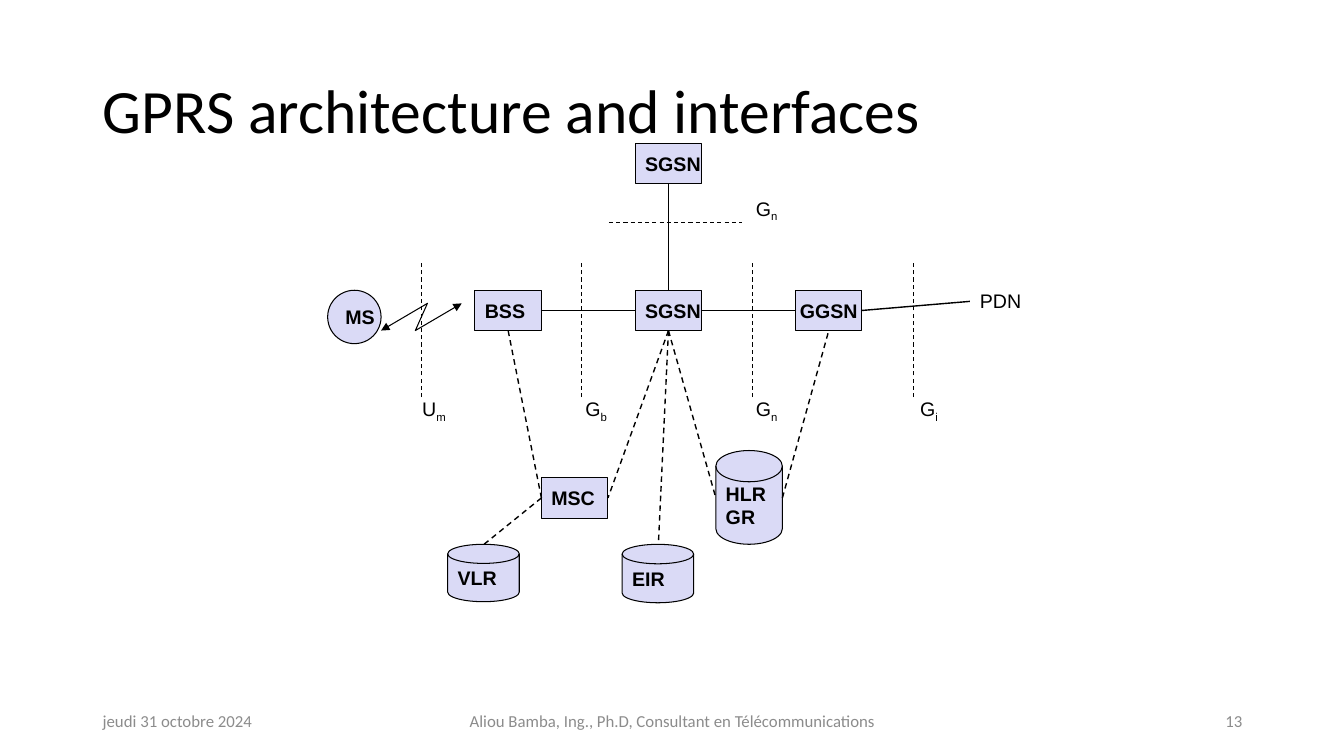
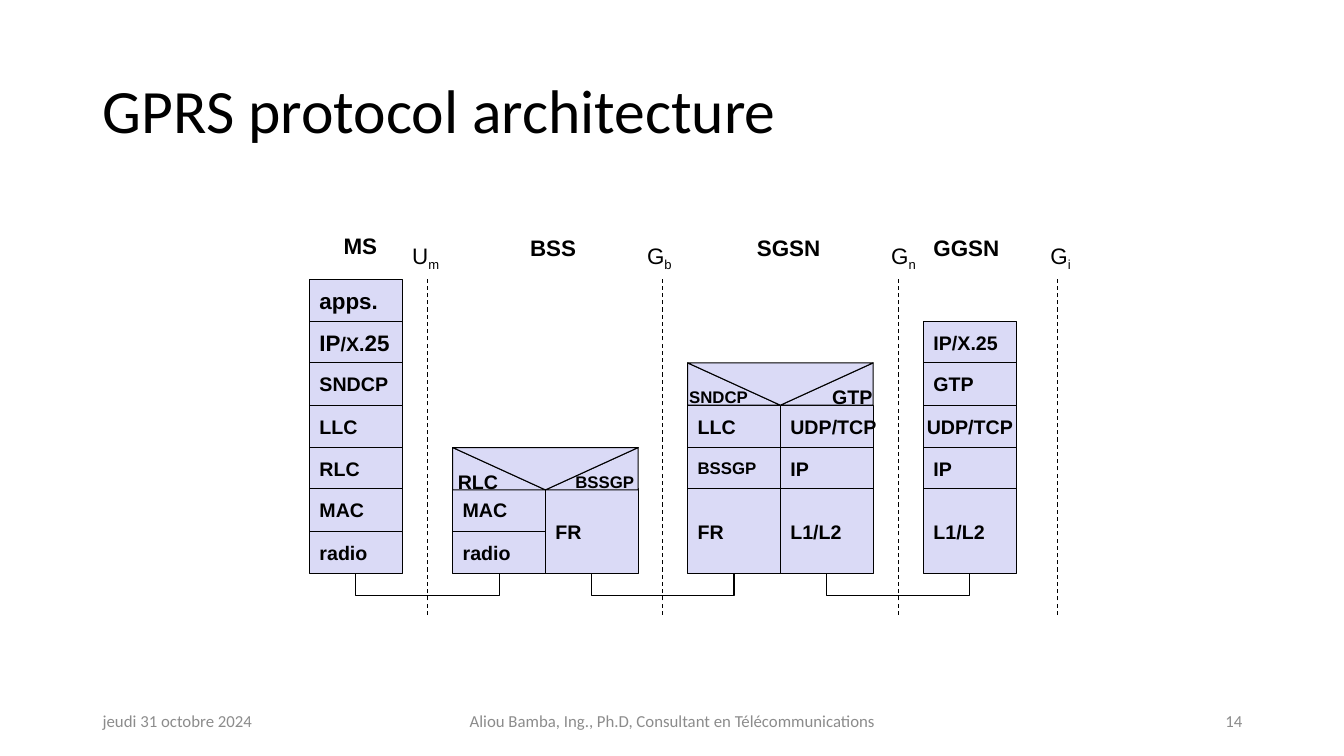
from lxml.etree import SubElement
from pptx import Presentation
from pptx.dml.color import RGBColor
from pptx.enum.dml import MSO_LINE
from pptx.enum.shapes import MSO_CONNECTOR, MSO_SHAPE
from pptx.enum.text import MSO_ANCHOR, MSO_AUTO_SIZE, PP_ALIGN
from pptx.oxml.ns import qn
from pptx.util import Pt

PX = 9144
BLACK = RGBColor(0x00, 0x00, 0x00)
LILAC = RGBColor(0xDA, 0xDA, 0xF6)
GREY = RGBColor(0x8C, 0x8C, 0x8C)
TOP, LEFT, BOTTOM, RIGHT = range(4)
DISK = MSO_SHAPE.FLOWCHART_MAGNETIC_DISK
DATE = "jeudi 31 octobre 2024"
AUTHOR = "Aliou Bamba, Ing., Ph.D, Consultant en Télécommunications"


def assign(target, values):
    """Set each named attribute of the target."""
    for name, value in values.items():
        setattr(target, name, value)


def px(*lengths):
    """Turn px into EMU."""
    return [length * PX for length in lengths]


class Deck:
    """Holds the presentation, its style and the current slide."""

    def __init__(self):
        """Start an empty widescreen presentation."""
        self.file = Presentation()
        assign(self.file, dict(zip(("slide_width", "slide_height"), px(1333, 750))))

    def new_slide(self, title, number):
        """Add a slide with its title and footer."""
        slide = self.file.slides.add_slide(self.file.slide_layouts[5])
        self.shapes = slide.shapes
        heading = self.shapes.title
        assign(heading, dict(zip(("left", "top", "width", "height"), px(92, 40, 1150, 145))))
        assign(heading.text_frame, {"vertical_anchor": MSO_ANCHOR.MIDDLE, "word_wrap": True,
                                    "auto_size": MSO_AUTO_SIZE.NONE})
        self.fill_text(heading.text_frame, title, size=44, font="Calibri")
        heading.text_frame.paragraphs[0].line_spacing = 0.9
        for left, width, text, align in (
            (92, 300, DATE, PP_ALIGN.LEFT),
            (442, 450, AUTHOR, PP_ALIGN.CENTER),
            (942, 300, str(number), PP_ALIGN.RIGHT),
        ):
            frame = self.shapes.add_textbox(*px(left, 695, width, 40)).text_frame
            assign(frame, {"vertical_anchor": MSO_ANCHOR.MIDDLE, "word_wrap": True})
            self.fill_text(frame, text, align, size=12, font="Calibri", color=GREY)

    def fill_text(self, frame, content, align=PP_ALIGN.LEFT, size=14, bold=False,
                  font="Arial", color=BLACK):
        """Fill a frame with lines of text, or a list of (text, size) runs."""
        if isinstance(content, str):
            lines = [[(line, size)] for line in content.split("\n")]
        else:
            lines = [content]
        for index, pieces in enumerate(lines):
            paragraph = frame.add_paragraph() if index else frame.paragraphs[0]
            paragraph.alignment = align
            for text, points in pieces:
                run = paragraph.add_run()
                run.text = text
                assign(run.font, {"size": Pt(points), "bold": bold, "name": font})
                run.font.color.rgb = color

    def outline(self, item, width=0.75, dash=None):
        """Give a shape or connector its black line."""
        item.line.color.rgb = BLACK
        assign(item.line, {"width": Pt(width), "dash_style": dash})

    def node(self, box, text="", kind=MSO_SHAPE.RECTANGLE, align=PP_ALIGN.LEFT,
             size=14, insets=(10, 5, 10, 5), flip=None):
        """Add a lilac shape with a bold caption."""
        shape = self.shapes.add_shape(kind, *px(*box))
        shape.shadow.inherit = False
        shape.fill.solid()
        shape.fill.fore_color.rgb = LILAC
        self.outline(shape)
        if flip:
            shape.element.spPr.xfrm.set(flip, "1")
        if text:
            sides = ("margin_left", "margin_top", "margin_right", "margin_bottom")
            assign(shape.text_frame, {"vertical_anchor": MSO_ANCHOR.MIDDLE, "word_wrap": False,
                                      **dict(zip(sides, px(*insets)))})
            self.fill_text(shape.text_frame, text, align, size, bold=True)
        return shape

    def label(self, box, text, subscript="", align=PP_ALIGN.LEFT, size=14, bold=False):
        """Add a free label, with an optional subscript."""
        frame = self.shapes.add_textbox(*px(*box)).text_frame
        assign(frame, {"word_wrap": False, "auto_size": MSO_AUTO_SIZE.SHAPE_TO_FIT_TEXT})
        runs = [(text, size)] + ([(subscript, size)] if subscript else [])
        self.fill_text(frame, runs, align, bold=bold)
        if subscript:
            frame.paragraphs[0].runs[1].font._element.set("baseline", "-25000")

    def link(self, begin, end, width=0.75, dash=None):
        """Draw a straight line between points or (shape, side) pairs."""
        start, stop = [place if isinstance(place[0], int) else (0, 0) for place in (begin, end)]
        line = self.shapes.add_connector(MSO_CONNECTOR.STRAIGHT, *px(*start, *stop))
        for place, join in ((begin, line.begin_connect), (end, line.end_connect)):
            if not isinstance(place[0], int):
                join(*place)
        self.outline(line, width, dash)
        SubElement(line.element.spPr, qn("a:effectLst"))

    def polyline(self, points, arrows=False):
        """Draw an open line through points, with arrowheads on request."""
        builder = self.shapes.build_freeform(*points[0], scale=PX)
        builder.add_line_segments(points[1:], close=False)
        trace = builder.convert_to_shape()
        trace.shadow.inherit = False
        trace.fill.background()
        self.outline(trace)
        if arrows:
            stroke = trace.element.spPr.find(qn("a:ln"))
            for tip in ("a:headEnd", "a:tailEnd"):
                SubElement(stroke, qn(tip)).set("type", "triangle")


def build_interfaces(deck):
    """Build the network map with its interfaces."""
    deck.new_slide("GPRS architecture and interfaces", 13)
    deck.node((325, 288, 53, 53), "MS", MSO_SHAPE.OVAL)
    deck.polyline([(458, 301), (412, 328), (424, 301), (378, 328)], arrows=True)
    bss, sgsn, upper_sgsn, msc = [
        deck.node((left, top, 66, 40), text)
        for left, top, text in ((471, 288, "BSS"), (630, 288, "SGSN"),
                                (630, 142, "SGSN"), (537, 474, "MSC"))
    ]
    ggsn = deck.node((789, 288, 66, 40), "GGSN", align=PP_ALIGN.CENTER)
    for box, text in (((617, 540, 71, 58), "EIR"), ((710, 447, 66, 93), "HLR\nGR"),
                      ((444, 540, 71, 57), "VLR")):
        deck.node(box, text, DISK)
    deck.link((bss, RIGHT), (sgsn, LEFT))
    deck.link((ggsn, LEFT), (sgsn, RIGHT))
    deck.link((upper_sgsn, BOTTOM), (sgsn, TOP))
    deck.link((ggsn, RIGHT), (962, 299), width=1)
    for begin, end in (
        ((msc, LEFT), (480, 540)),
        ((bss, BOTTOM), (msc, LEFT)),
        ((sgsn, BOTTOM), (msc, RIGHT)),
        ((sgsn, BOTTOM), (653, 540)),
        ((sgsn, BOTTOM), (710, 494)),
        ((776, 494), (ggsn, BOTTOM)),
    ):
        deck.link(begin, end, 1, MSO_LINE.DASH)
    for x in (418, 577, 746, 906):
        deck.link((x, 394), (x, 261), dash=MSO_LINE.DASH)
    deck.link((604, 221), (736, 221), dash=MSO_LINE.DASH)
    for left, top, width, letter, subscript in (
        (407, 389, 45, "U", "m"), (569, 389, 43, "G", "b"), (738, 389, 43, "G", "n"),
        (902, 389, 38, "G", "i"), (738, 190, 43, "G", "n"),
    ):
        deck.label((left, top, width, 34), letter, subscript, PP_ALIGN.RIGHT)
    deck.label((962, 282, 62, 34), "PDN")


def build_protocols(deck):
    """Build the protocol stacks of the four network nodes."""
    deck.new_slide("GPRS protocol architecture", 14)
    cell_width, cell_height = 92, 42
    ms, bss, sgsn, ggsn = 307, 449, 682, 916
    bss_right, sgsn_right = bss + cell_width, sgsn + cell_width

    def row_top(row):
        """Give the top of a grid row."""
        return 277 + round(row * 125 / 3)

    for x in (424, 657, 891, 1049):
        deck.link((x, 610), (x, 277), dash=MSO_LINE.DASH)

    small, large, centred = {"size": 12}, {"size": 16}, {"align": PP_ALIGN.CENTER}
    mixed_ip = [("IP", 16), ("/X.", 14), ("25", 16)]
    stacks = (
        (ms, 0, (("apps.", 1, large), (mixed_ip, 1, {}), ("SNDCP", 1, {}), ("LLC", 1, {}),
                 ("RLC", 1, {}), ("MAC", 1, {}), ("radio", 1, {}))),
        (bss, 5, (("MAC", 1, {}), ("radio", 1, {}))),
        (bss_right, 5, (("FR", 2, {}),)),
        (sgsn, 3, (("LLC", 1, {}), ("BSSGP", 1, small), ("FR", 2, {}))),
        (sgsn_right, 3, (("UDP/TCP", 1, {}), ("IP", 1, {}), ("L1/L2", 2, {}))),
        (ggsn, 1, (("IP/X.25", 1, {}), ("GTP", 1, {}), ("UDP/TCP", 1, centred),
                   ("IP", 1, {}), ("L1/L2", 2, {}))),
    )
    for left, row, layers in stacks:
        for text, span, style in layers:
            top = row_top(row)
            row += span
            deck.node((left, top, cell_width, row_top(row) - top), text, **style)

    relays = (
        (bss, 4, ("RLC", 14, (10, 5, 21, 0)), ("BSSGP", 12, (14, 5, 19, 0))),
        (sgsn, 2, ("SNDCP", 12, (10, 5, 10, 0)), ("GTP", 14, (30, 5, 10, 0))),
    )
    for left, row, *halves in relays:
        top = row_top(row)
        for index, (text, size, insets) in enumerate(halves):
            deck.node((left + index * cell_width, top, cell_width, cell_height), text,
                      MSO_SHAPE.RIGHT_TRIANGLE, PP_ALIGN.CENTER, size, insets,
                      flip="flipH" if index else None)
        deck.node((left, top, 2 * cell_width, cell_height),
                  kind=MSO_SHAPE.ISOSCELES_TRIANGLE, flip="flipV")

    floor, cable = row_top(7), 591
    for left, right in ((ms, bss), (bss_right, sgsn), (sgsn_right, ggsn)):
        start, end = left + cell_width // 2, right + cell_width // 2
        deck.polyline([(start, floor), (start, cable), (end, cable), (end, floor)])

    for left, width, letter, subscript in ((399, 49, "U", "m"), (632, 46, "G", "b"),
                                           (874, 46, "G", "n"), (1032, 41, "G", "i")):
        deck.label((left, 235, width, 37), letter, subscript, size=16)
    for left, top, width, text in ((331, 225, 53, "MS"), (516, 227, 66, "BSS"),
                                   (741, 227, 83, "SGSN"), (916, 227, 86, "GGSN")):
        deck.label((left, top, width, 37), text, size=16, bold=True)


def main():
    """Build and save both slides."""
    deck = Deck()
    build_interfaces(deck)
    build_protocols(deck)
    deck.file.save("out.pptx")


if __name__ == "__main__":
    main()
